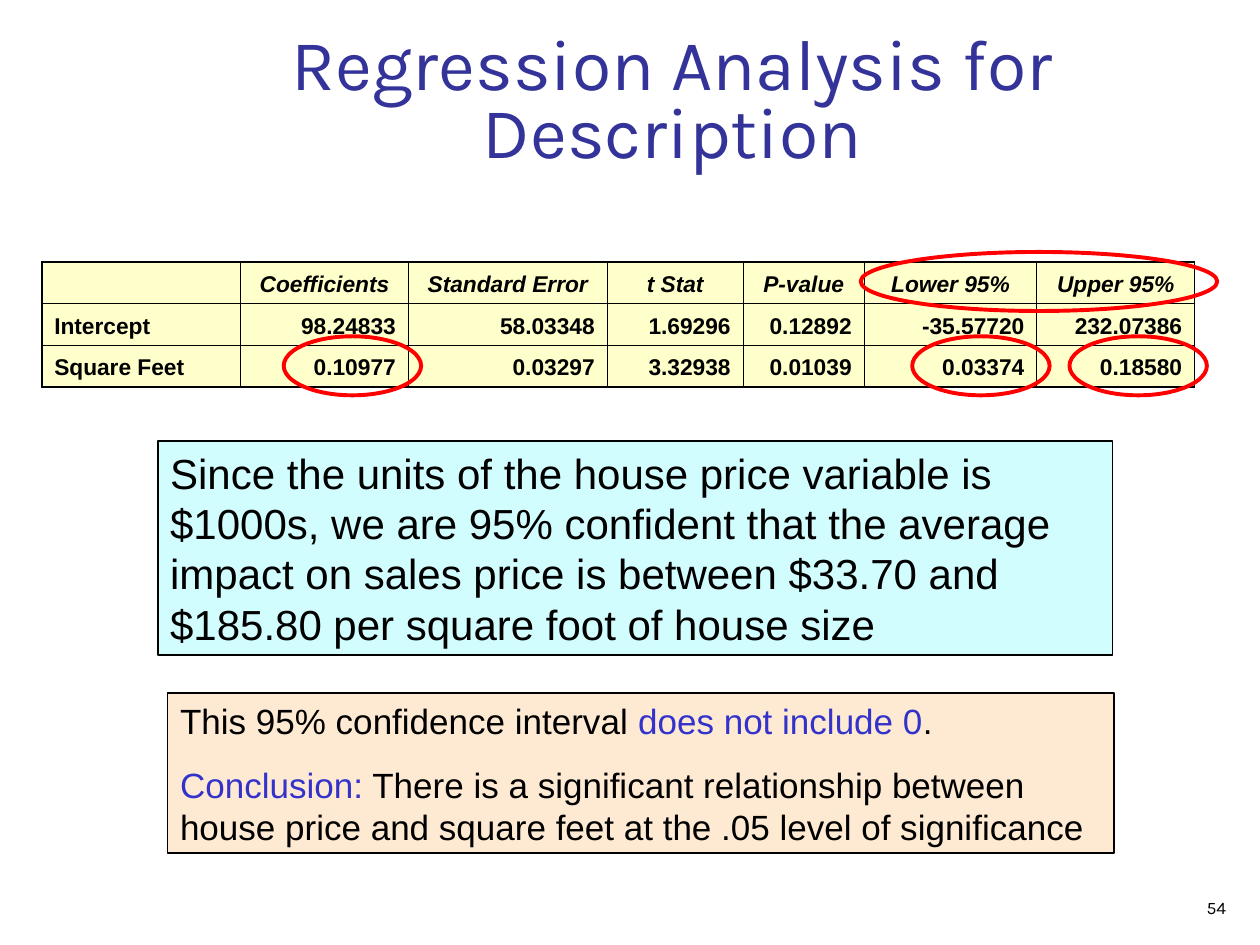
from lxml.etree import SubElement
from pptx import Presentation
from pptx.dml.color import RGBColor
from pptx.enum.shapes import MSO_SHAPE as SHAPE
from pptx.enum.text import MSO_ANCHOR as ANCHOR, PP_ALIGN as ALIGN
from pptx.oxml.ns import qn
from pptx.util import Cm, Pt

COLORS = {"title": "333399", "text": "000000", "accent": "3333CC", "cell": "FFFFCC",
          "cyan": "D2FDFE", "peach": "FEEAD2", "ring": "FF0000"}
TITLE = "Regression Analysis for Description"
ROWS = [
    ["", "Coefficients", "Standard Error", "t Stat", "P-value", "Lower 95%", "Upper 95%"],
    ["Intercept", "98.24833", "58.03348", "1.69296", "0.12892", "-35.57720", "232.07386"],
    ["Square Feet", "0.10977", "0.03297", "3.32938", "0.01039", "0.03374", "0.18580"],
]
COL_WIDTHS = [4.01, 3.38, 4.01, 2.74, 2.44, 3.48, 3.18]
ROW_HEIGHT = 0.84
RINGS = [(18.39, 6.78, 2.77), (21.56, 6.78, 2.77), (17.35, 5.08, 7.19), (5.72, 6.78, 2.77)]
RING_HEIGHT = 1.19
BOXES = [
    ((3.18, 8.89, 19.25, 4.32), "cyan", 24, [
        [("Since the units of the house price variable is $1000s, we are 95% confident "
          "that the average impact on sales price is between $33.70 and $185.80 per "
          "square foot of house size", "text")],
    ]),
    ((3.38, 13.97, 19.08, 3.23), "peach", 20, [
        [("This 95% confidence interval ", "text"), ("does not include 0", "accent"),
         (".", "text")],
        [("Conclusion:", "accent"),
         (" There is a significant relationship between house price and square feet "
          "at the .05 level of significance", "text")],
    ]),
]


def rgb(name):
    return RGBColor.from_string(COLORS[name])


def style(p, size, name="Arial", color="text", align=ALIGN.LEFT):
    p.alignment = align
    p.font.size, p.font.name = Pt(size), name
    p.font.color.rgb = rgb(color)


def add_outline(s, kind, place, line, width):
    sp = s.shapes.add_shape(kind, *map(Cm, place))
    sp.shadow.inherit = False
    sp.fill.background()
    sp.line.color.rgb, sp.line.width = rgb(line), Pt(width)
    return sp


def add_borders(cell, outer):
    tcPr = cell._tc.get_or_add_tcPr()
    for side in "LRTB":
        width = Pt(1.08 if outer[side] else 0.45)
        ln = SubElement(tcPr, qn("a:ln" + side), w=str(width))
        fill = SubElement(ln, qn("a:solidFill"))
        SubElement(fill, qn("a:srgbClr"), val=COLORS["text"])


def add_table(s):
    n_rows, n_cols = len(ROWS), len(COL_WIDTHS)
    table = s.shapes.add_table(n_rows, n_cols, Cm(0.84), Cm(5.28),
                               Cm(sum(COL_WIDTHS)), Cm(ROW_HEIGHT * n_rows)).table
    for col, width in zip(table.columns, COL_WIDTHS):
        col.width = Cm(width)
    for i, texts in enumerate(ROWS):
        table.rows[i].height = Cm(ROW_HEIGHT)
        for j, text in enumerate(texts):
            cell = table.cell(i, j)
            add_borders(cell, {"L": j == 0, "R": j == n_cols - 1,
                               "T": i == 0, "B": i == n_rows - 1})
            cell.fill.solid()
            cell.fill.fore_color.rgb = rgb("cell")
            cell.vertical_anchor = ANCHOR.BOTTOM
            p = cell.text_frame.paragraphs[0]
            align = ALIGN.CENTER if i == 0 else ALIGN.LEFT if j == 0 else ALIGN.RIGHT
            style(p, 13, align=align)
            p.font.bold, p.font.italic = True, i == 0
            if text:
                p.add_run().text = text
            else:
                SubElement(p._p, qn("a:endParaRPr"), sz="1300")


def add_box(s, place, fill, size, paragraphs):
    sp = add_outline(s, SHAPE.RECTANGLE, place, "text", 1)
    sp.fill.solid()
    sp.fill.fore_color.rgb = rgb(fill)
    tf = sp.text_frame
    tf.word_wrap, tf.vertical_anchor = True, ANCHOR.TOP
    for i, runs in enumerate(paragraphs):
        p = tf.add_paragraph() if i else tf.paragraphs[0]
        style(p, size)
        p.space_before = Pt(12.5 if i else 0)
        for text, color in runs:
            r = p.add_run()
            r.text = text
            r.font.color.rgb = rgb(color)


def main():
    prs = Presentation()
    prs.slide_width, prs.slide_height = Cm(25.4), Cm(19.05)
    s = prs.slides.add_slide(prs.slide_layouts[5])

    title = s.shapes.title
    title.left, title.top, title.width, title.height = map(Cm, (2.74, 0.64, 21.64, 2.97))
    tf = title.text_frame
    tf.text, tf.vertical_anchor = TITLE, ANCHOR.BOTTOM
    style(tf.paragraphs[0], 41, "Karla", "title", ALIGN.CENTER)
    tf.paragraphs[0].line_spacing = 0.8

    add_table(s)
    for left, top, width in RINGS:
        add_outline(s, SHAPE.OVAL, (left, top, width, RING_HEIGHT), "ring", 2.25)
    for box in BOXES:
        add_box(s, *box)

    tf = s.shapes.add_textbox(*map(Cm, (19.69, 17.78, 5.28, 0.86))).text_frame
    tf.word_wrap, tf.vertical_anchor = True, ANCHOR.BOTTOM
    tf.text = "54"
    style(tf.paragraphs[0], 10, "Karla", align=ALIGN.RIGHT)

    prs.save("out.pptx")


if __name__ == "__main__":
    main()
